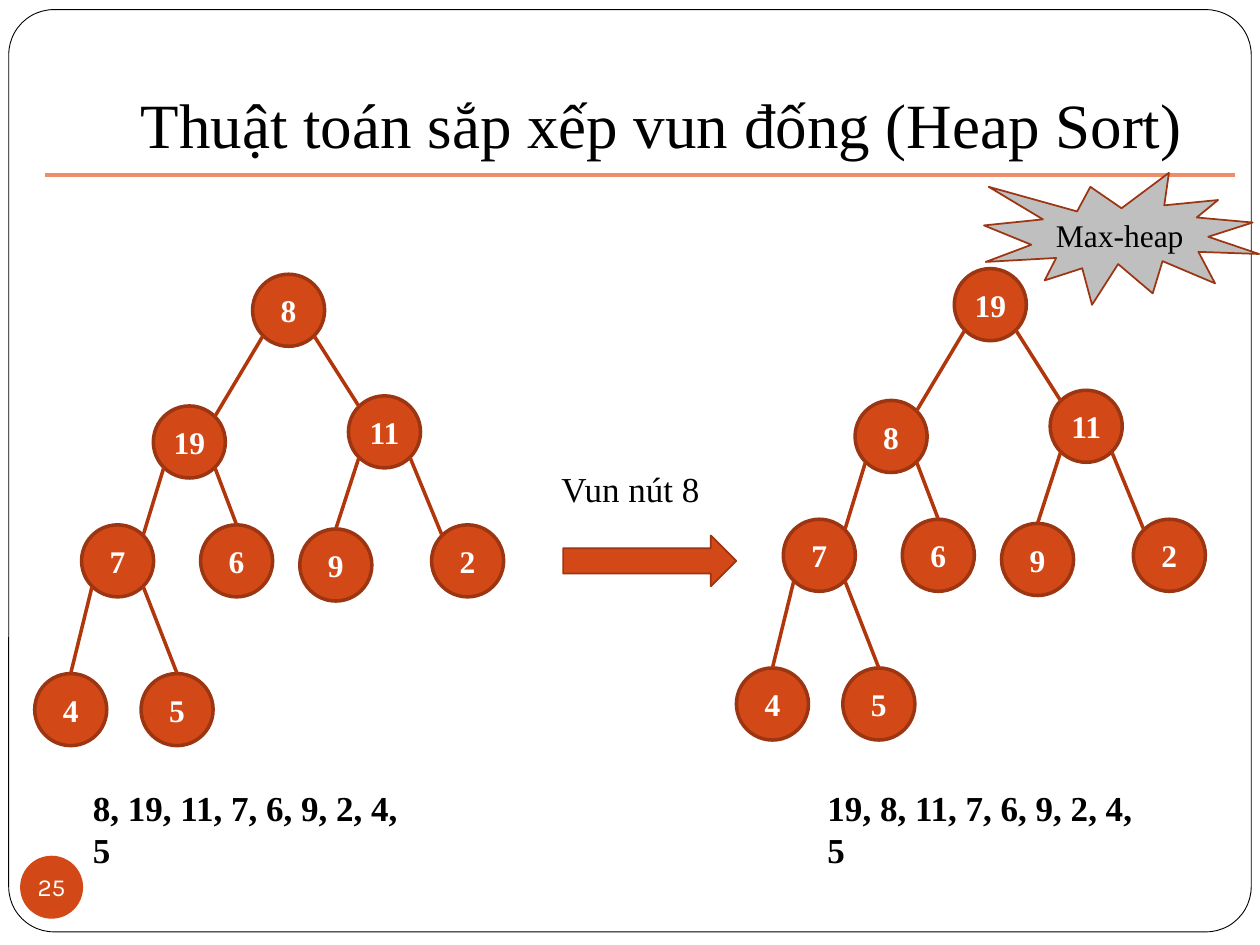
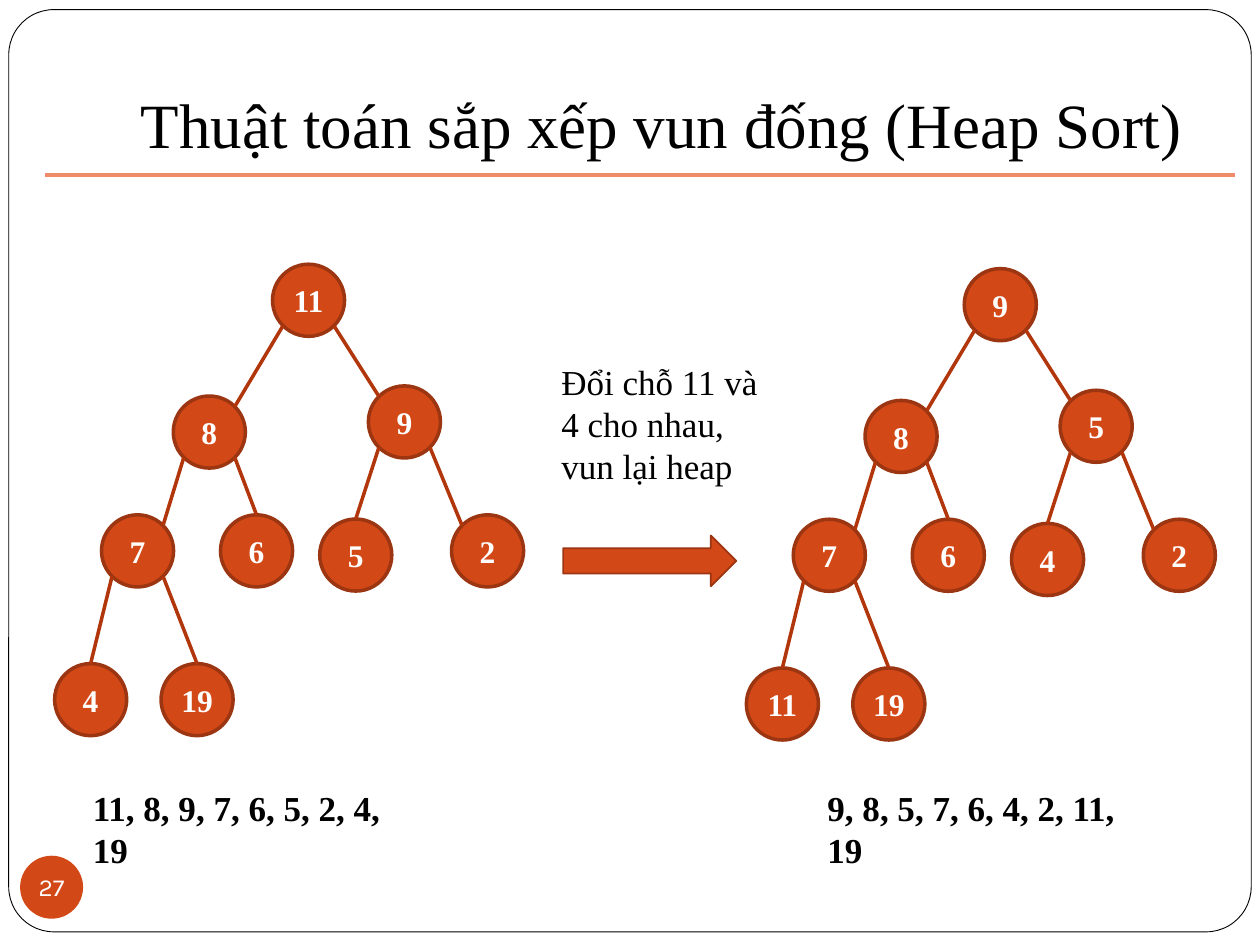
from lxml.etree import SubElement
from pptx import Presentation
from pptx.dml.color import RGBColor
from pptx.enum.shapes import MSO_CONNECTOR, MSO_SHAPE
from pptx.enum.text import MSO_ANCHOR, PP_ALIGN
from pptx.oxml.ns import qn
from pptx.util import Pt

BLACK = RGBColor(0x00, 0x00, 0x00)
WHITE = RGBColor(0xFF, 0xFF, 0xFF)
ORANGE = RGBColor(0xD3, 0x48, 0x17)
OUTLINE = RGBColor(0x9C, 0x35, 0x11)
EDGE = RGBColor(0xB1, 0x36, 0x0B)
RULE = RGBColor(0xEF, 0x8C, 0x6A)
GREY = RGBColor(0xBF, 0xBF, 0xBF)

SERIF = "Times New Roman"
NUMBER_FONT = "Karla"
TITLE = "Thuật toán sắp xếp vun đống (Heap Sort)"
DEFAULT_INSETS = (7.2, 3.6, 7.2, 3.6)
NO_INSETS = (0, 0, 0, 0)

NODE_SIZE = 41.2
NODE_OFFSETS = [
    (124.5, 0),
    (67.8, 75.3), (179.3, 69.5),
    (26.8, 143.2), (94.8, 143.2), (151.5, 145.6), (226.8, 143.2),
    (0, 228.2), (60.8, 228.2),
]
NEAR, FAR = 0.146, 0.854
TOP, TOP_LEFT, TOP_RIGHT = (0.5, 0), (NEAR, NEAR), (FAR, NEAR)
BOTTOM_LEFT, BOTTOM_RIGHT = (NEAR, FAR), (FAR, FAR)
CHILD_ANCHORS = [TOP_RIGHT, TOP_LEFT, TOP_RIGHT, TOP, TOP, TOP_LEFT, TOP, TOP]


def write_text(shape, text, size=20, font=SERIF, color=BLACK, bold=False,
               align=PP_ALIGN.LEFT, anchor=MSO_ANCHOR.TOP,
               insets=DEFAULT_INSETS, wrap=True):
    frame = shape.text_frame
    frame.word_wrap = wrap
    frame.vertical_anchor = anchor
    left, top, right, bottom = insets
    frame.margin_left, frame.margin_top = Pt(left), Pt(top)
    frame.margin_right, frame.margin_bottom = Pt(right), Pt(bottom)
    paragraph = frame.paragraphs[0]
    paragraph.alignment = align
    run = paragraph.add_run()
    run.text = text
    run.font.size = Pt(size)
    run.font.name = font
    run.font.bold = bold
    run.font.color.rgb = color


def add_text(slide, box, text, **text_format):
    write_text(slide.shapes.add_textbox(*map(Pt, box)), text, **text_format)


def add_filled_shape(slide, kind, box, fill=ORANGE, line=OUTLINE, width=1):
    shape = slide.shapes.add_shape(kind, *map(Pt, box))
    shape.shadow.inherit = False
    shape.fill.solid()
    shape.fill.fore_color.rgb = fill
    if line is None:
        shape.line.fill.background()
    else:
        shape.line.color.rgb = line
        shape.line.width = Pt(width)
    return shape


def add_line(slide, start, end, color):
    connector = slide.shapes.add_connector(
        MSO_CONNECTOR.STRAIGHT, *map(Pt, (*start, *end)))
    connector.line.color.rgb = color
    connector.line.width = Pt(2)
    SubElement(connector._element.spPr, qn("a:effectLst"))


def add_page_frame(slide, number):
    card = add_filled_shape(slide, MSO_SHAPE.ROUNDED_RECTANGLE,
                            (5, 5.5, 710, 527), WHITE, BLACK, 0.5)
    card.adjustments[0] = 0.049
    add_text(slide, (72, 9.4, 612, 90), TITLE, size=36,
             align=PP_ALIGN.CENTER, anchor=MSO_ANCHOR.BOTTOM,
             insets=(7.2, 3.6, 7.2, 7.2))
    add_line(slide, (25.5, 100), (705.5, 100), RULE)
    badge = add_filled_shape(slide, MSO_SHAPE.OVAL, (11.5, 489, 36, 36), line=None)
    write_text(badge, str(number), size=14, font=NUMBER_FONT, color=WHITE,
               align=PP_ALIGN.CENTER, anchor=MSO_ANCHOR.MIDDLE,
               insets=NO_INSETS, wrap=False)


def add_heap(slide, left, top, values):
    corners = [(left + x, top + y) for x, y in NODE_OFFSETS]

    def anchor_point(index, anchor):
        return [corner + NODE_SIZE * part
                for corner, part in zip(corners[index], anchor)]

    for (x, y), value in zip(corners, values):
        node = add_filled_shape(slide, MSO_SHAPE.FLOWCHART_CONNECTOR,
                                (x, y, NODE_SIZE, NODE_SIZE), width=2)
        write_text(node, str(value), size=18, color=WHITE, bold=True,
                   align=PP_ALIGN.CENTER, anchor=MSO_ANCHOR.MIDDLE,
                   insets=NO_INSETS)
    for child, child_anchor in enumerate(CHILD_ANCHORS, start=1):
        parent_anchor = BOTTOM_LEFT if child % 2 else BOTTOM_RIGHT
        add_line(slide, anchor_point((child - 1) // 2, parent_anchor),
                 anchor_point(child, child_anchor), EDGE)


def add_array(slide, left, values):
    add_text(slide, (left, 445.7, 200, 31.5), ", ".join(map(str, values)), bold=True)


def add_step(slide, text, top, height):
    add_filled_shape(slide, MSO_SHAPE.RIGHT_ARROW, (321.8, 306, 98.9, 29))
    add_text(slide, (313.7, top, 127, height), text)


def add_max_heap_burst(slide):
    burst = add_filled_shape(slide, MSO_SHAPE.EXPLOSION1, (562.3, 98.8, 157.2, 75.4), GREY)
    write_text(burst, "Max-heap", size=18, align=PP_ALIGN.CENTER,
               anchor=MSO_ANCHOR.MIDDLE)


def add_heap_slide(presentation, number, before, before_origin, after,
                   after_origin, step, step_top, step_height):
    slide = presentation.slides.add_slide(presentation.slide_layouts[6])
    add_page_frame(slide, number)
    add_step(slide, step, step_top, step_height)
    add_heap(slide, *before_origin, before)
    add_heap(slide, *after_origin, after)
    add_array(slide, 46, before)
    add_array(slide, 465.8, after)
    return slide


def main():
    presentation = Presentation()
    presentation.slide_width, presentation.slide_height = Pt(720), Pt(540)
    sift_slide = add_heap_slide(
        presentation, 25,
        [8, 19, 11, 7, 6, 9, 2, 4, 5], (19.8, 156.7),
        [19, 8, 11, 7, 6, 9, 2, 4, 5], (420.8, 153.5),
        "Vun nút 8", 263.5, 31.5)
    add_max_heap_burst(sift_slide)
    add_heap_slide(
        presentation, 27,
        [11, 8, 9, 7, 6, 5, 2, 4, 19], (31.2, 151),
        [9, 8, 5, 7, 6, 4, 2, 11, 19], (426.5, 153.5),
        "Đổi chỗ 11 và 4 cho nhau, vun lại heap", 202.3, 80)
    presentation.save("out.pptx")


if __name__ == "__main__":
    main()
